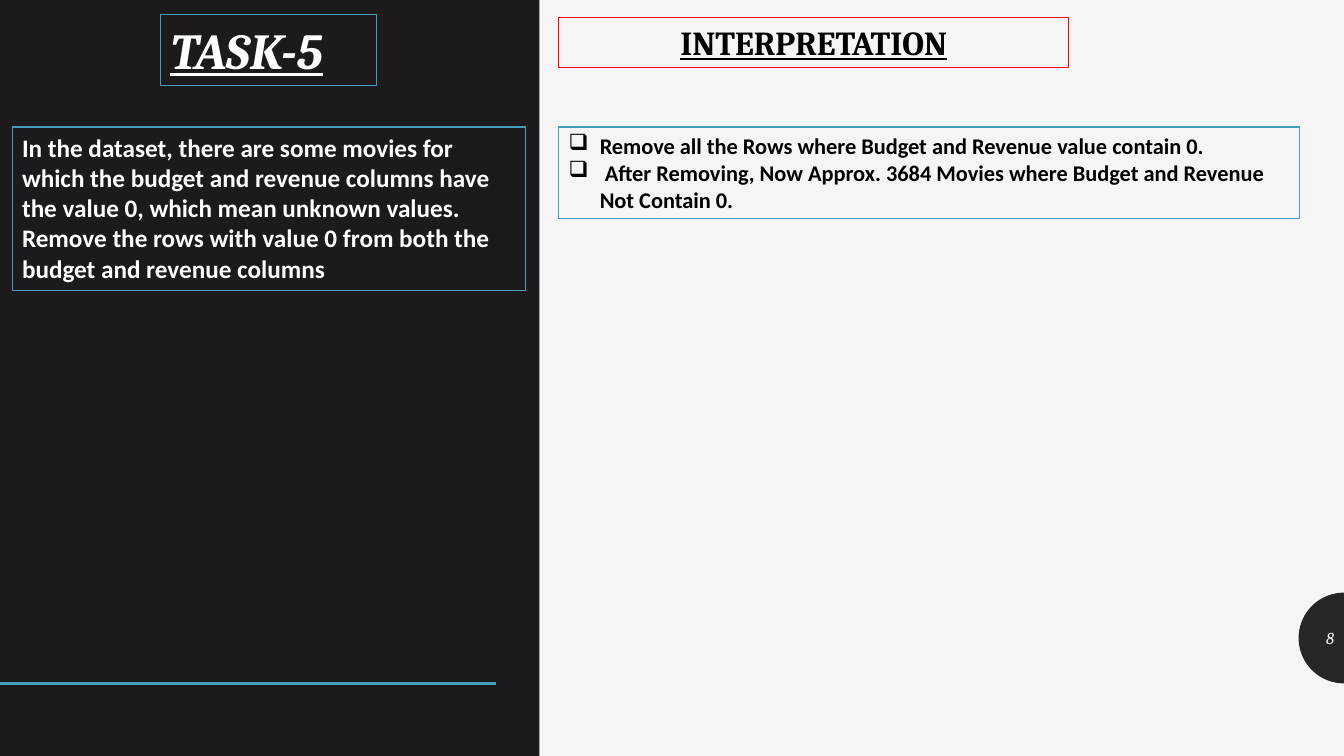
from math import cos, pi, sin

from lxml.etree import SubElement
from pptx import Presentation
from pptx.dml.color import RGBColor as Rgb
from pptx.enum.shapes import MSO_CONNECTOR as Link, MSO_SHAPE as Kind
from pptx.enum.text import MSO_ANCHOR as Anchor, MSO_AUTO_SIZE as Fit, PP_ALIGN as Align
from pptx.oxml.ns import qn
from pptx.util import Inches, Pt

HUES = {"page": "F5F5F5", "panel": "1D1A1D", "badge": "262626", "teal": "439EB7",
        "red": "FF0000", "white": "FFFFFF", "black": "000000"}
HEAD = {"name": "Cambria", "bold": True, "underline": True}
BODY = {"name": "Calibri", "bold": True}
WIDE, HIGH = 13.33, 7.5
SPLIT = 5.35


def hue(name):
    """Return the named colour."""
    return Rgb.from_string(HUES[name])


def paint(shape, name):
    """Give a shape a flat fill with no line or shadow."""
    shape.shadow.inherit = False
    shape.fill.solid()
    shape.fill.fore_color.rgb = hue(name)
    shape.line.fill.background()


def place(shape, box):
    """Move and size a shape to a box in inches."""
    for key, val in zip(("left", "top", "width", "height"), box):
        setattr(shape, key, Inches(val))


def write(shape, lines, size, color, look, align=Align.LEFT, anchor=Anchor.TOP):
    """Fill a shape with formatted paragraphs and return them."""
    body = shape.text_frame
    body.text = "\n".join(lines)
    body.word_wrap = True
    body.vertical_anchor = anchor
    for para in body.paragraphs:
        para.alignment = align
        font = para.runs[0].font
        for key, val in {"size": Pt(size), **look}.items():
            setattr(font, key, val)
        font.color.rgb = hue(color)
    return body.paragraphs


def frame(shape, color):
    """Outline a text shape and hold its size."""
    shape.line.color.rgb = hue(color)
    shape.line.width = Pt(0.75)
    shape.text_frame.auto_size = Fit.NONE


def note(slide, box, edge, *text, **more):
    """Add an outlined text box and return its paragraphs."""
    shape = slide.shapes.add_textbox(*map(Inches, box))
    paras = write(shape, *text, **more)
    frame(shape, edge)
    return paras


def bullet(para):
    """Give a paragraph a box bullet with a hanging indent."""
    props = para._p.get_or_add_pPr()
    props.set("marL", str(Inches(0.31)))
    props.set("indent", str(-Inches(0.31)))
    SubElement(props, qn("a:buChar")).set("char", "\u2751")


def task(slide, box):
    """Build the dark panel with the title, the task and the rule."""
    x, y, w, h = box
    panel = slide.shapes.add_shape(Kind.RECTANGLE, *map(Inches, box))
    paint(panel, "panel")
    rule = slide.shapes.add_connector(
        Link.STRAIGHT, *map(Inches, (x, y + 6.78, x + 4.92, y + 6.78)))
    rule.line.color.rgb = hue("teal")
    rule.line.width = Pt(2)
    SubElement(rule._element.spPr, qn("a:effectLst"))

    title = slide.shapes.title
    panel.element.getparent().append(title.element)
    place(title, (x + 1.59, y + 0.14, 2.14, 0.71))
    write(title, ["TASK-5"], 36, "white", {**HEAD, "italic": True})
    frame(title, "teal")
    note(slide, (x + 0.12, y + 1.26, 5.09, 1.62), "teal",
         ["In the dataset, there are some movies for which the budget and revenue "
          "columns have the value 0, which mean unknown values. Remove the rows with "
          "value 0 from both the budget and revenue columns"], 18, "white", BODY)


def answer(slide, box):
    """Build the light side with its heading and findings."""
    x, y, w, h = box
    note(slide, (x + 0.19, y + 0.17, 5.06, 0.5), "red",
         ["INTERPRETATION"], 24, "black", HEAD, align=Align.CENTER)
    paras = note(slide, (x + 0.19, y + 1.26, 7.35, 0.91), "teal",
                 ["Remove all the Rows where Budget and Revenue value contain 0.",
                  " After Removing, Now Approx. 3684 Movies where Budget and Revenue "
                  "Not Contain 0."], 16, "black", BODY)
    for para in paras:
        bullet(para)


def badge(slide, box, label):
    """Build the half disc at the edge with the page number."""
    x, y, w, h = box
    turns = [pi * step / 48 for step in range(49)]
    dots = [(Inches(x + w - w * sin(turn)), Inches(y + h / 2 - h / 2 * cos(turn)))
            for turn in turns]
    pen = slide.shapes.build_freeform(*dots[0])
    pen.add_line_segments(dots[1:], close=True)
    paint(pen.convert_to_shape(), "badge")
    text = slide.shapes.add_textbox(*map(Inches, (x, y + 0.25, w, 0.4)))
    write(text, [label], 12, "page", {"name": "Cambria", "italic": True},
          align=Align.RIGHT, anchor=Anchor.MIDDLE)


def main():
    """Build and save the deck."""
    deck = Presentation()
    deck.slide_width, deck.slide_height = Inches(WIDE), Inches(HIGH)
    slide = deck.slides.add_slide(deck.slide_layouts[5])
    back = slide.background.fill
    back.solid()
    back.fore_color.rgb = hue("page")
    task(slide, (0, 0, SPLIT, HIGH))
    answer(slide, (SPLIT, 0, WIDE - SPLIT, HIGH))
    badge(slide, (WIDE - 0.45, 5.88, 0.45, 0.9), "8")
    deck.save("out.pptx")


main()
